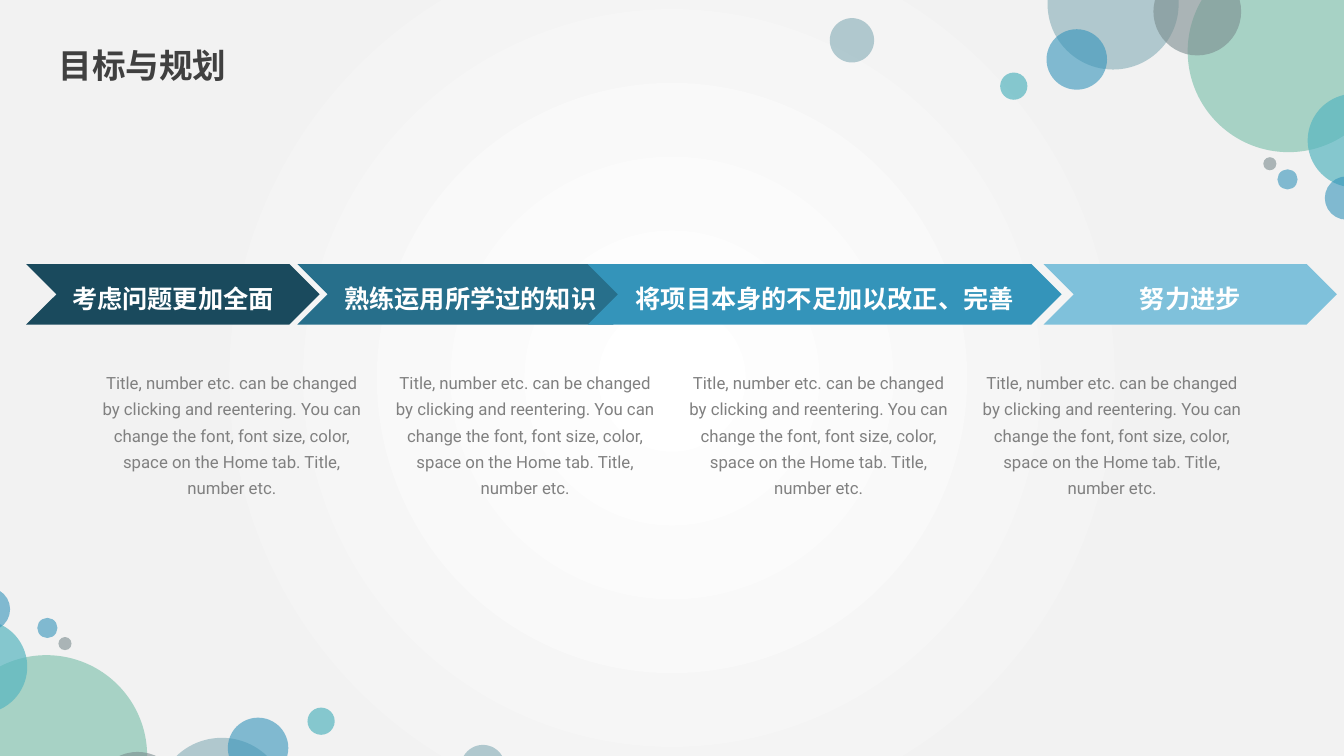
from lxml import etree
from pptx import Presentation
from pptx import util as u
from pptx.dml.color import RGBColor
from pptx.enum import shapes, text
from pptx.oxml import parse_xml
from pptx.oxml.ns import nsdecls, qn

FONT = "Roboto"
BLURB = ("Title, number etc. can be changed by clicking and reentering. "
         "You can change the font, font size, color, space on the Home tab. "
         "Title, number etc.")

# left, top, diameter, colour, opacity in percent
BUBBLES = [
    (10.39, -0.61, 1.3, "84ACB6", 60),
    (11.78, -0.49, 2, "75BDA7", 60),
    (11.44, -0.32, 0.87, "7A8C8E", 60),
    (10.38, 0.29, 0.6, "3494BA", 60),
    (12.97, 0.93, 0.93, "58B6C0", 70),
    (9.92, 0.72, 0.27, "58B6C0", 70),
    (13.14, 1.75, 0.43, "3494BA", 60),
    (12.67, 1.68, 0.2, "3494BA", 60),
    (12.53, 1.56, 0.13, "7A8C8E", 60),
    (8.23, 0.18, 0.44, "84ACB6", 60),
]
# left, width, colour, label
STEPS = [
    (0.26, 2.91, "1A4A5D", "考虑问题更加全面"),
    (2.95, 3.43, "276F8B", "熟练运用所学过的知识"),
    (5.83, 4.7, "3494BA", "将项目本身的不足加以改正、完善"),
    (10.35, 2.91, "7FC1DB", "努力进步"),
]


def rgb(value):
    return RGBColor.from_string(value)


def box_in(x, y, w, h):
    return [u.Inches(v) for v in (x, y, w, h)]


def add_shape(s, kind, box, color, opacity=100):
    sp = s.shapes.add_shape(kind, *box_in(*box))
    sp.shadow.inherit = False
    sp.fill.solid()
    sp.fill.fore_color.rgb = rgb(color)
    sp.line.fill.background()
    if opacity < 100:
        clr = sp.fill._xPr.find(qn("a:solidFill"))[0]
        etree.SubElement(clr, qn("a:alpha")).set("val", str(opacity * 1000))
    return sp


def write(tf, words, size, color, align, bold=False, before=0):
    p = tf.paragraphs[0]
    p.alignment = align
    p.line_spacing = 1.3
    p.space_before = u.Pt(before)
    r = p.add_run()
    r.text = words
    r.font.name = FONT
    r.font.size = u.Pt(size)
    r.font.bold = bold
    r.font.color.rgb = rgb(color)


def paint_background(s):
    """Radial gradient, white at the centre."""
    stops = "".join(
        f'<a:gs pos="{pos}000"><a:srgbClr val="{color}"/></a:gs>'
        for pos, color in ((0, "FFFFFF"), (67, "F2F2F2"), (100, "F2F2F2")))
    s._element.cSld.insert(0, parse_xml(
        f'<p:bg {nsdecls("p", "a")}><p:bgPr><a:gradFill rotWithShape="1">'
        f'<a:gsLst>{stops}</a:gsLst><a:path path="circle">'
        '<a:fillToRect l="50000" t="50000" r="50000" b="50000"/></a:path>'
        '</a:gradFill><a:effectLst/></p:bgPr></p:bg>'))


def add_bubbles(s, turn=None):
    """Top-right cluster, or its half turn when opposite corner sums are given."""
    for x, y, d, color, opacity in BUBBLES:
        if turn:
            x, y = turn[0] - x - d, turn[1] - y - d
        add_shape(s, shapes.MSO_SHAPE.OVAL, (x, y, d, d), color, opacity)


def add_title(s, words, box):
    sp = s.shapes.title
    sp.left, sp.top, sp.width, sp.height = box_in(*box)
    tf = sp.text_frame
    tf.auto_size = text.MSO_AUTO_SIZE.NONE
    tf.vertical_anchor = text.MSO_ANCHOR.TOP
    write(tf, words, 24, "404040", text.PP_ALIGN.LEFT, True, 10)


def add_steps(s, top, height):
    for x, w, color, label in STEPS:
        sp = add_shape(s, shapes.MSO_SHAPE.CHEVRON, (x, top, w, height), color)
        tf = sp.text_frame
        tf.vertical_anchor = text.MSO_ANCHOR.MIDDLE
        write(tf, label, 18, "FFFFFF", text.PP_ALIGN.CENTER, True)


def add_blurbs(s, box, pitch):
    x, y, w, h = box
    for i in range(len(STEPS)):
        tf = s.shapes.add_textbox(*box_in(x + i * pitch, y, w, h)).text_frame
        tf.word_wrap = True
        write(tf, BLURB, 12, "808080", text.PP_ALIGN.CENTER, before=10)


def main():
    prs = Presentation()
    prs.slide_width, prs.slide_height = u.Inches(13.33), u.Inches(7.5)
    s = prs.slides.add_slide(prs.slide_layouts[5])
    paint_background(s)
    add_bubbles(s)
    add_bubbles(s, turn=(13.24, 8.01))
    add_title(s, "目标与规划", (0.48, 0.28, 3.72, 0.44))
    add_steps(s, 2.62, 0.6)
    add_blurbs(s, (0.87, 3.59, 2.86, 1.21), 2.91)
    prs.save("out.pptx")


if __name__ == "__main__":
    main()
